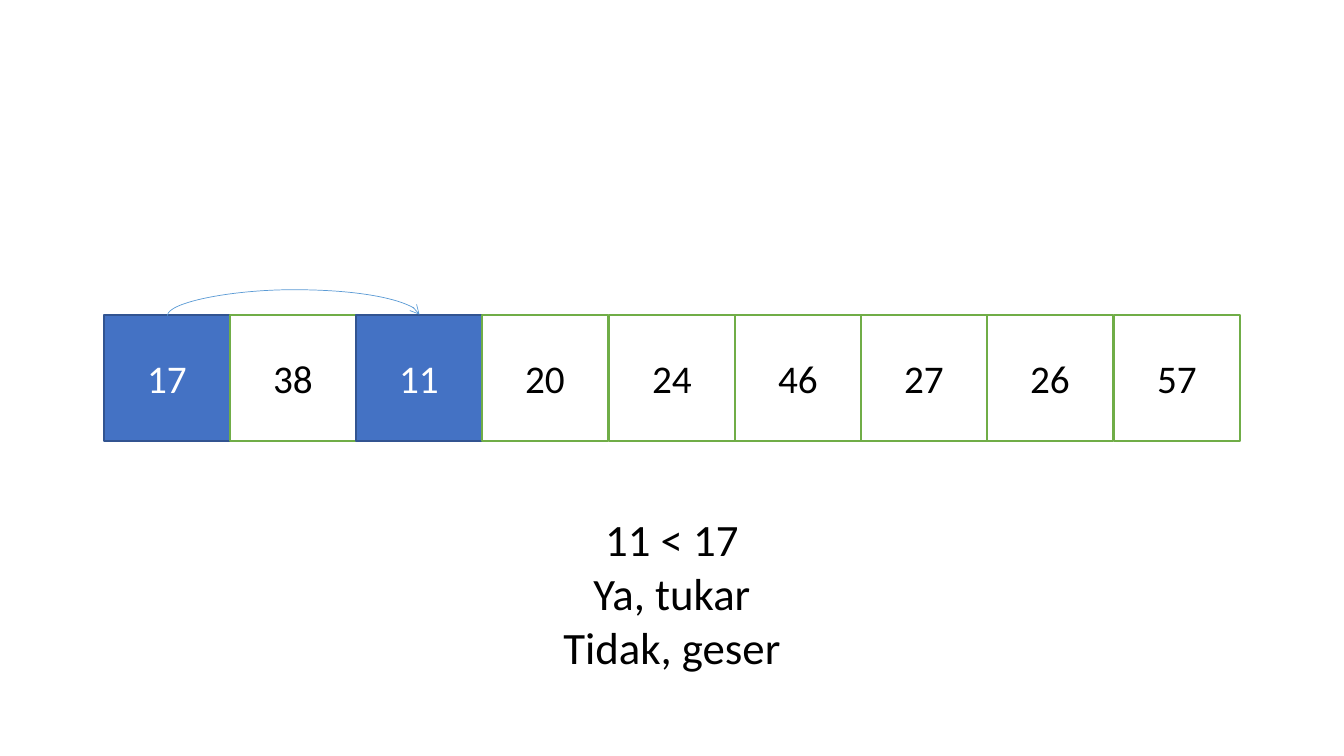
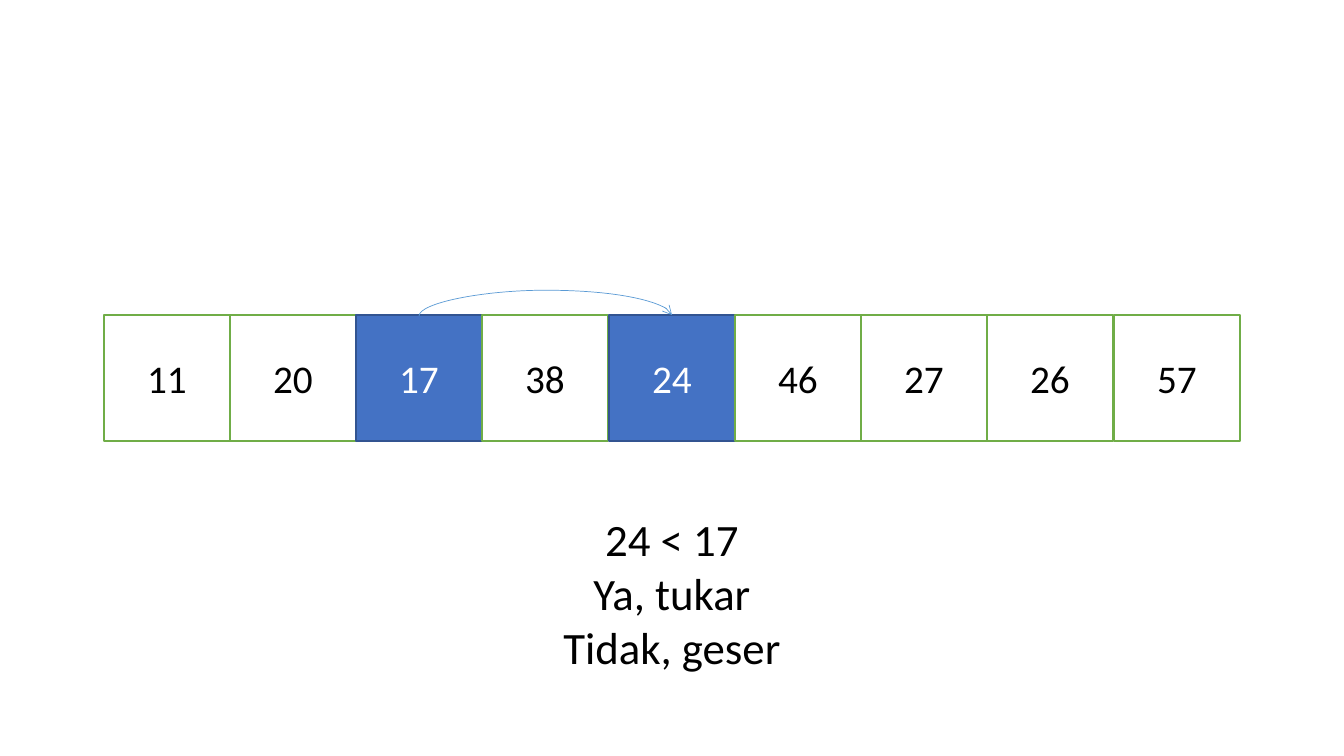
from dataclasses import dataclass

from lxml.etree import SubElement
from pptx import Presentation
from pptx.dml.color import RGBColor
from pptx.enum.shapes import MSO_CONNECTOR as Connector, MSO_SHAPE as Shape
from pptx.enum.text import MSO_ANCHOR as Anchor, MSO_AUTO_SIZE as AutoSize, PP_ALIGN as Align
from pptx.oxml.ns import qn
from pptx.slide import Slide
from pptx.text.text import TextFrame
from pptx.util import Emu, Pt

PX_PER_INCH = 100.8
SLIDE_WIDTH, SLIDE_HEIGHT = 1344, 756
ROW_LEFT, ROW_TOP = 104, 315
CELL_SIZE, CELL_PITCH = 126, 126.25
ARC_HEIGHT, ARC_DEPTH = 26, 1
ARC_ROTATION = 270
FONT = "Calibri"
COLORS = {
    "text": "000000",
    "active_text": "FFFFFF",
    "cell": "FFFFFF",
    "cell_line": "70AD47",
    "active": "4472C4",
    "active_line": "325491",
    "arc": "5B9BD5",
}


@dataclass(frozen=True)
class SortStep:
    values: tuple[int, ...]
    first: int
    second: int

    @property
    def question(self) -> str:
        return f"{self.values[self.second]} < {self.values[self.first]}"


STEPS = (
    SortStep((17, 38, 11, 20, 24, 46, 27, 26, 57), 0, 2),
    SortStep((11, 20, 17, 38, 24, 46, 27, 26, 57), 2, 4),
)


def px(length: int) -> Emu:
    return Emu(round(length * 914400 / PX_PER_INCH))


def color(name: str) -> RGBColor:
    return RGBColor.from_string(COLORS[name])


def cell_left(index: int) -> int:
    return ROW_LEFT + int(index * CELL_PITCH)


def write_lines(frame: TextFrame, lines: tuple[str, ...], size: int, color_name: str) -> None:
    frame.word_wrap = True
    frame.text = "\n".join(lines)
    for paragraph in frame.paragraphs:
        paragraph.alignment = Align.CENTER
        paragraph.font.name = FONT
        paragraph.font.size = Pt(size)
        paragraph.font.color.rgb = color(color_name)


def draw_cell(slide: Slide, index: int, value: int, active: bool) -> None:
    style = "active" if active else "cell"
    cell = slide.shapes.add_shape(
        Shape.RECTANGLE, px(cell_left(index)), px(ROW_TOP), px(CELL_SIZE), px(CELL_SIZE)
    )
    cell.shadow.inherit = False
    cell.fill.solid()
    cell.fill.fore_color.rgb = color(style)
    cell.line.color.rgb = color(f"{style}_line")
    cell.line.width = Pt(1)
    cell.text_frame.vertical_anchor = Anchor.MIDDLE
    write_lines(cell.text_frame, (str(value),), 28, "active_text" if active else "text")


def draw_arc(slide: Slide, first: int, second: int) -> None:
    start, end = (cell_left(index) + CELL_SIZE // 2 for index in (first, second))
    middle, span = (start + end) // 2, end - start
    top = ROW_TOP - span // 2
    arc = slide.shapes.add_connector(
        Connector.CURVE, px(middle), px(top), px(middle + ARC_DEPTH), px(top + span)
    )
    arc.line.color.rgb = color("arc")
    arc.line.width = Pt(0.5)
    SubElement(arc.get_or_add_ln(), qn("a:tailEnd"), type="arrow")
    properties = arc.element.spPr
    properties.find(qn("a:xfrm")).set("rot", str(ARC_ROTATION * 60000))
    adjustments = properties.find(qn("a:prstGeom")).find(qn("a:avLst"))
    bend = ARC_HEIGHT * 100000 // ARC_DEPTH
    SubElement(adjustments, qn("a:gd"), name="adj1", fmla=f"val {bend}")
    SubElement(properties, qn("a:effectLst"))


def draw_decision(slide: Slide, question: str) -> None:
    box = slide.shapes.add_textbox(px(442), px(507), px(460), px(173))
    box.text_frame.auto_size = AutoSize.SHAPE_TO_FIT_TEXT
    write_lines(box.text_frame, (question, "Ya, tukar", "Tidak, geser"), 32, "text")


def draw_step(slide: Slide, step: SortStep) -> None:
    for index, value in enumerate(step.values):
        draw_cell(slide, index, value, index in (step.first, step.second))
    draw_decision(slide, step.question)
    draw_arc(slide, step.first, step.second)


def main() -> None:
    presentation = Presentation()
    presentation.slide_width = px(SLIDE_WIDTH)
    presentation.slide_height = px(SLIDE_HEIGHT)
    blank = presentation.slide_layouts[6]
    for step in STEPS:
        draw_step(presentation.slides.add_slide(blank), step)
    presentation.save("out.pptx")


if __name__ == "__main__":
    main()
